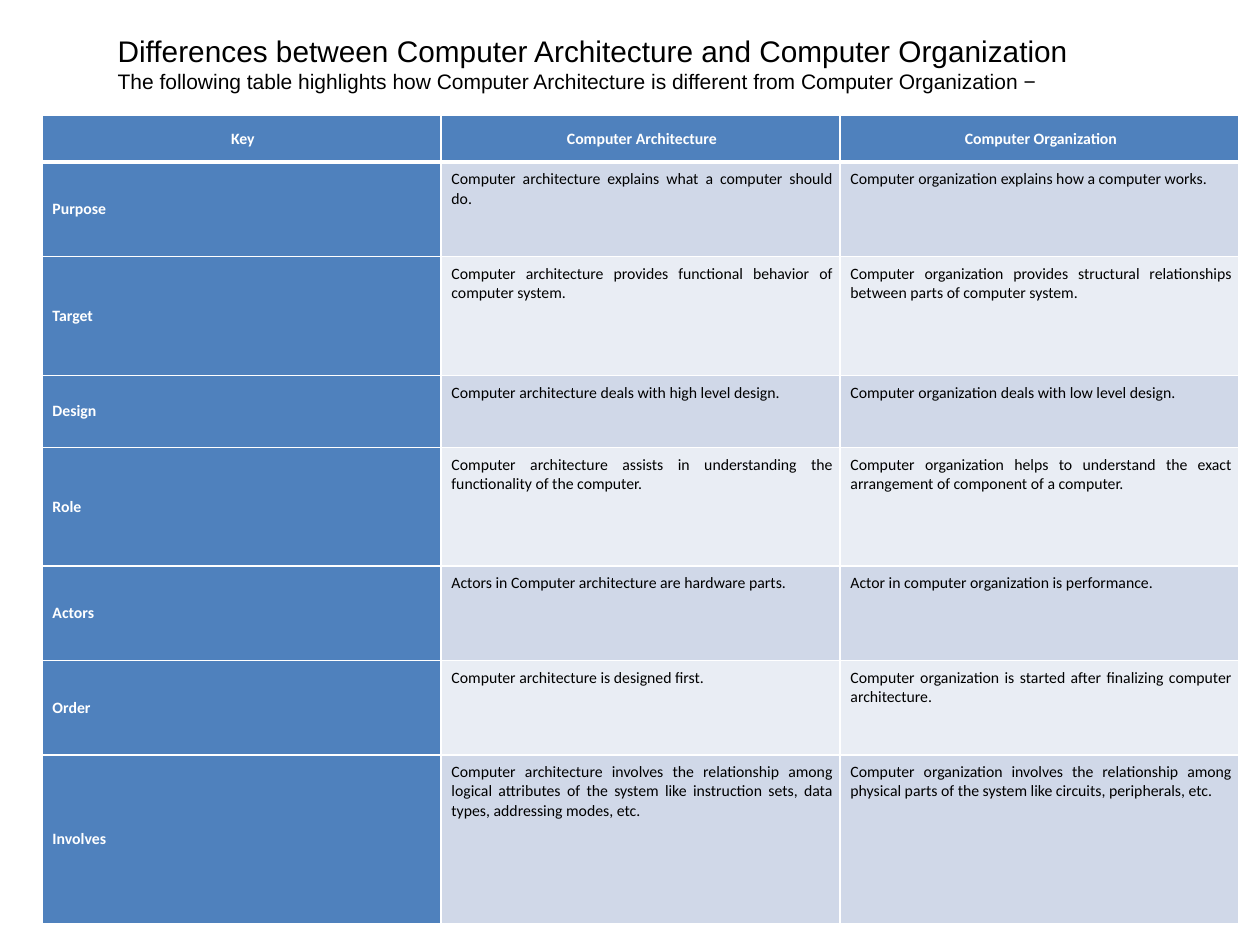
from lxml.etree import SubElement
from pptx import Presentation
from pptx.dml.color import RGBColor
from pptx.enum.text import MSO_ANCHOR as Anchor, MSO_AUTO_SIZE as AutoSize, PP_ALIGN as Align
from pptx.oxml.ns import qn
from pptx.util import Pt

BLUE, WHITE, BLACK = "4F81BD", "FFFFFF", "000000"
BANDS = ["D0D8E8", "E9EDF4"]


def add_run(paragraph, text, font, size, color, bold=False):
    run = paragraph.add_run()
    run.text = text
    run.font.name = font
    run.font.size = Pt(size)
    run.font.bold = bold
    run.font.color.rgb = RGBColor.from_string(color)


def add_borders(cell, widths):
    """Draw white borders; widths maps an edge (L, R, T, B) to points."""
    properties = cell._tc.get_or_add_tcPr()
    for edge, width in widths.items():
        line = SubElement(properties, qn(f"a:ln{edge}"), w=str(Pt(width)))
        fill = SubElement(line, qn("a:solidFill"))
        SubElement(fill, qn("a:srgbClr"), val=WHITE)


presentation = Presentation()
presentation.slide_width, presentation.slide_height = Pt(720), Pt(540)
slide = presentation.slides.add_slide(presentation.slide_layouts[5])

# Title with its introductory line
title = slide.shapes.title
title.left, title.top, title.width, title.height = Pt(60), Pt(18), Pt(720), Pt(36)
frame = title.text_frame
frame.auto_size = AutoSize.NONE
frame.word_wrap = True
frame.vertical_anchor = Anchor.MIDDLE
heading, introduction = frame.paragraphs[0], frame.add_paragraph()
heading.alignment = introduction.alignment = Align.JUSTIFY
add_run(heading, "Differences between Computer Architecture and Computer Organization",
        "Arial", 17, BLACK)
add_run(introduction, "The following table highlights how Computer Architecture is different "
        "from Computer Organization −", "Arial", 12, BLACK)

# Comparison table: row height in points, then the three cells
rows = [
    (26.7, "Key", "Computer Architecture", "Computer Organization"),
    (54, "Purpose", "Computer architecture explains what a computer should do.",
     "Computer organization explains how a computer works."),
    (67.8, "Target", "Computer architecture provides functional behavior of computer system.",
     "Computer organization provides structural relationships between parts of computer system."),
    (41.2, "Design", "Computer architecture deals with high level design.",
     "Computer organization deals with low level design."),
    (67.8, "Role",
     "Computer architecture assists in understanding the functionality of the computer.",
     "Computer organization helps to understand the exact arrangement of component of a computer."),
    (54, "Actors", "Actors in Computer architecture are hardware parts.",
     "Actor in computer organization is performance."),
    (54, "Order", "Computer architecture is designed first.",
     "Computer organization is started after finalizing computer architecture."),
    (96.5, "Involves",
     "Computer architecture involves the relationship among logical attributes of the system "
     "like instruction sets, data types, addressing modes, etc.",
     "Computer organization involves the relationship among physical parts of the system "
     "like circuits, peripherals, etc."),
]
table_height = sum(row[0] for row in rows)
table = slide.shapes.add_table(len(rows), 3, Pt(24), Pt(66), Pt(684), Pt(table_height)).table
table.first_col = True
for column in table.columns:
    column.width = Pt(228)

for row_index, (height, *texts) in enumerate(rows):
    table.rows[row_index].height = Pt(height)
    is_header = row_index == 0
    for column_index, text in enumerate(texts):
        is_label = is_header or column_index == 0
        cell = table.cell(row_index, column_index)
        cell.margin_left = cell.margin_right = cell.margin_top = cell.margin_bottom = Pt(4.5)
        cell.vertical_anchor = Anchor.MIDDLE if is_label else Anchor.TOP
        add_borders(cell, {"L": 1, "R": 1, "T": 3 if row_index == 1 else 1,
                           "B": 3 if is_header else 1})
        cell.fill.solid()
        cell.fill.fore_color.rgb = RGBColor.from_string(
            BLUE if is_label else BANDS[(row_index - 1) % 2])
        paragraph = cell.text_frame.paragraphs[0]
        paragraph.alignment = Align.CENTER if is_header else Align.JUSTIFY
        paragraph.space_before, paragraph.space_after = Pt(1.5), Pt(7.5)
        paragraph._p.get_or_add_pPr().set("marL", str(Pt(1.5)))
        add_run(paragraph, text, "Calibri", 9, WHITE if is_label else BLACK, is_label)

presentation.save("out.pptx")
